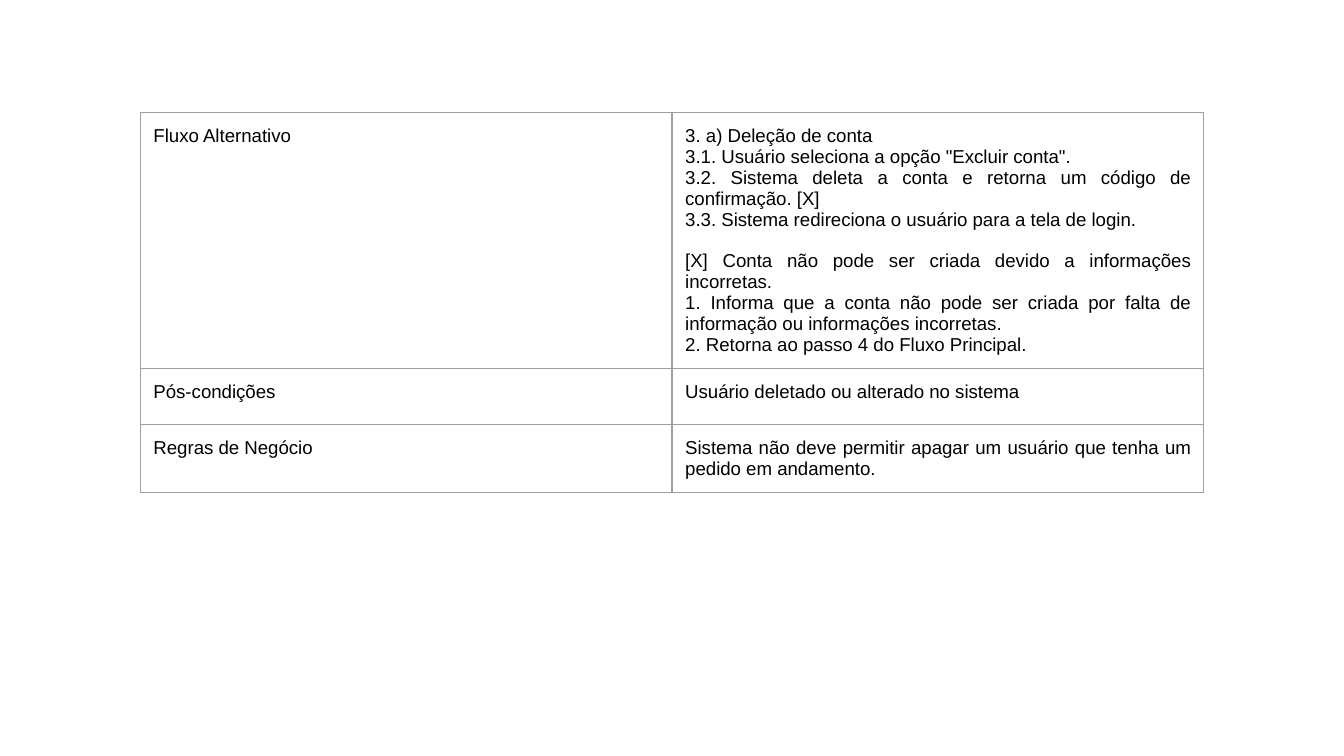
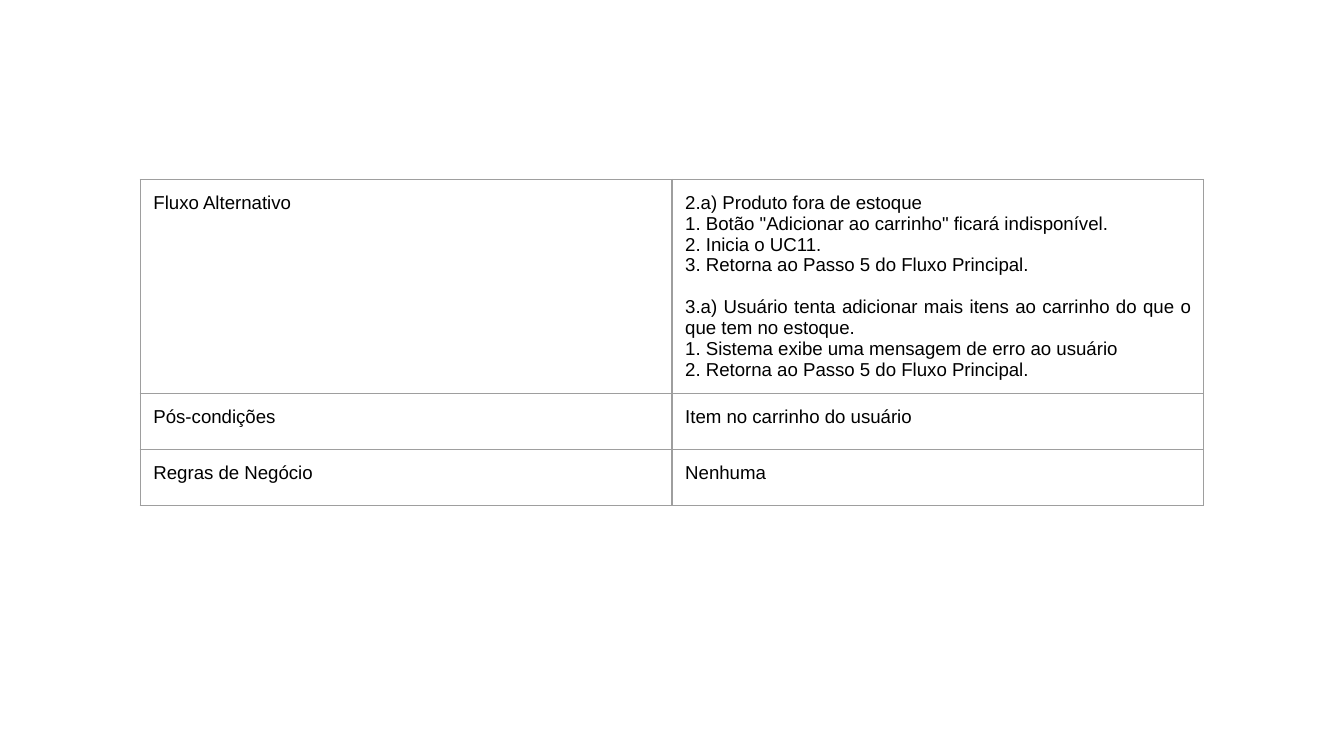
"""Build two use-case slides, each with one bordered table."""
from dataclasses import dataclass

from lxml.etree import SubElement
from pptx import Presentation
from pptx.dml.color import RGBColor
from pptx.enum.text import PP_ALIGN
from pptx.oxml.ns import qn
from pptx.slide import Slide
from pptx.table import _Cell
from pptx.util import Cm, Length, Pt


@dataclass(frozen=True)
class Theme:
    """Colours, type and measures shared by the slides."""
    font: str = "Arial"
    size: Length = Pt(10)
    text: str = "000000"
    border: str = "9E9E9E"
    border_width: Length = Pt(0.75)
    block_gap: Length = Pt(11.2)
    inset: Length = Cm(0.25)
    left: Length = Cm(2.65)
    column_width: Length = Cm(10.05)
    row_height: Length = Cm(1.06)


@dataclass(frozen=True)
class UseCase:
    """Closing part of a use case; flows are blocks of lines set apart by a gap."""
    top: Length
    flows: list[list[str]]
    outcome: str
    rule: str

    def rows(self) -> list[tuple[str, list[list[str]]]]:
        """Pair each row label with its blocks of text."""
        return [
            ("Fluxo Alternativo", self.flows),
            ("Pós-condições", [[self.outcome]]),
            ("Regras de Negócio", [[self.rule]]),
        ]


THEME = Theme()
BLANK_LAYOUT = 6

USE_CASES = [
    UseCase(
        top=Cm(2.13),
        flows=[
            [
                "3. a) Deleção de conta",
                '3.1. Usuário seleciona a opção "Excluir conta".',
                "3.2. Sistema deleta a conta e retorna um código de confirmação. [X]",
                "3.3. Sistema redireciona o usuário para a tela de login.",
            ],
            [
                "[X] Conta não pode ser criada devido a informações incorretas.",
                "1. Informa que a conta não pode ser criada por falta de "
                "informação ou informações incorretas.",
                "2. Retorna ao passo 4 do Fluxo Principal.",
            ],
        ],
        outcome="Usuário deletado ou alterado no sistema",
        rule="Sistema não deve permitir apagar um usuário que tenha um "
             "pedido em andamento.",
    ),
    UseCase(
        top=Cm(3.39),
        flows=[
            [
                "2.a) Produto fora de estoque",
                '1. Botão "Adicionar ao carrinho" ficará indisponível.',
                "2. Inicia o UC11.",
                "3. Retorna ao Passo 5 do Fluxo Principal.",
            ],
            [
                "3.a) Usuário tenta adicionar mais itens ao carrinho do que o "
                "que tem no estoque.",
                "1. Sistema exibe uma mensagem de erro ao usuário",
                "2. Retorna ao Passo 5 do Fluxo Principal.",
            ],
        ],
        outcome="Item no carrinho do usuário",
        rule="Nenhuma",
    ),
]


def apply_format(target: object, values: dict[str, object]) -> None:
    """Set every named attribute on the target."""
    for name, value in values.items():
        setattr(target, name, value)


def draw_borders(cell: _Cell) -> None:
    """Outline all four sides of a cell, ahead of its fill."""
    properties = cell._tc.get_or_add_tcPr()
    for position, side in enumerate(("lnL", "lnR", "lnT", "lnB")):
        line = SubElement(properties, qn(f"a:{side}"), w=str(THEME.border_width))
        fill = SubElement(line, qn("a:solidFill"))
        SubElement(fill, qn("a:srgbClr"), val=THEME.border)
        properties.insert(position, line)


def fill_cell(cell: _Cell, blocks: list[list[str]], align: PP_ALIGN) -> None:
    """Write blocks of paragraphs into a cell and format it."""
    sides = ("left", "right", "top", "bottom")
    apply_format(cell, {f"margin_{side}": THEME.inset for side in sides})
    cell.fill.background()
    draw_borders(cell)
    frame = cell.text_frame
    frame.text = "\n".join(line for block in blocks for line in block)
    for para in frame.paragraphs:
        para.alignment = align
        apply_format(para.runs[0].font, {"name": THEME.font, "size": THEME.size})
        para.runs[0].font.color.rgb = RGBColor.from_string(THEME.text)
    start = 0
    for block in blocks[:-1]:
        start += len(block)
        frame.paragraphs[start].space_before = THEME.block_gap


def draw_use_case(page: Slide, case: UseCase) -> None:
    """Add the two-column table of a use case."""
    rows = case.rows()
    table = page.shapes.add_table(
        len(rows), 2, THEME.left, case.top,
        THEME.column_width * 2, THEME.row_height * len(rows),
    ).table
    apply_format(table, {"first_row": False, "horz_banding": False})
    for index, (label, blocks) in enumerate(rows):
        fill_cell(table.cell(index, 0), [[label]], PP_ALIGN.LEFT)
        fill_cell(table.cell(index, 1), blocks, PP_ALIGN.JUSTIFY)


def build() -> None:
    """Create the deck and save it."""
    deck = Presentation()
    apply_format(deck, {"slide_width": Cm(25.4), "slide_height": Cm(14.29)})
    for case in USE_CASES:
        draw_use_case(deck.slides.add_slide(deck.slide_layouts[BLANK_LAYOUT]), case)
    deck.save("out.pptx")


build()
